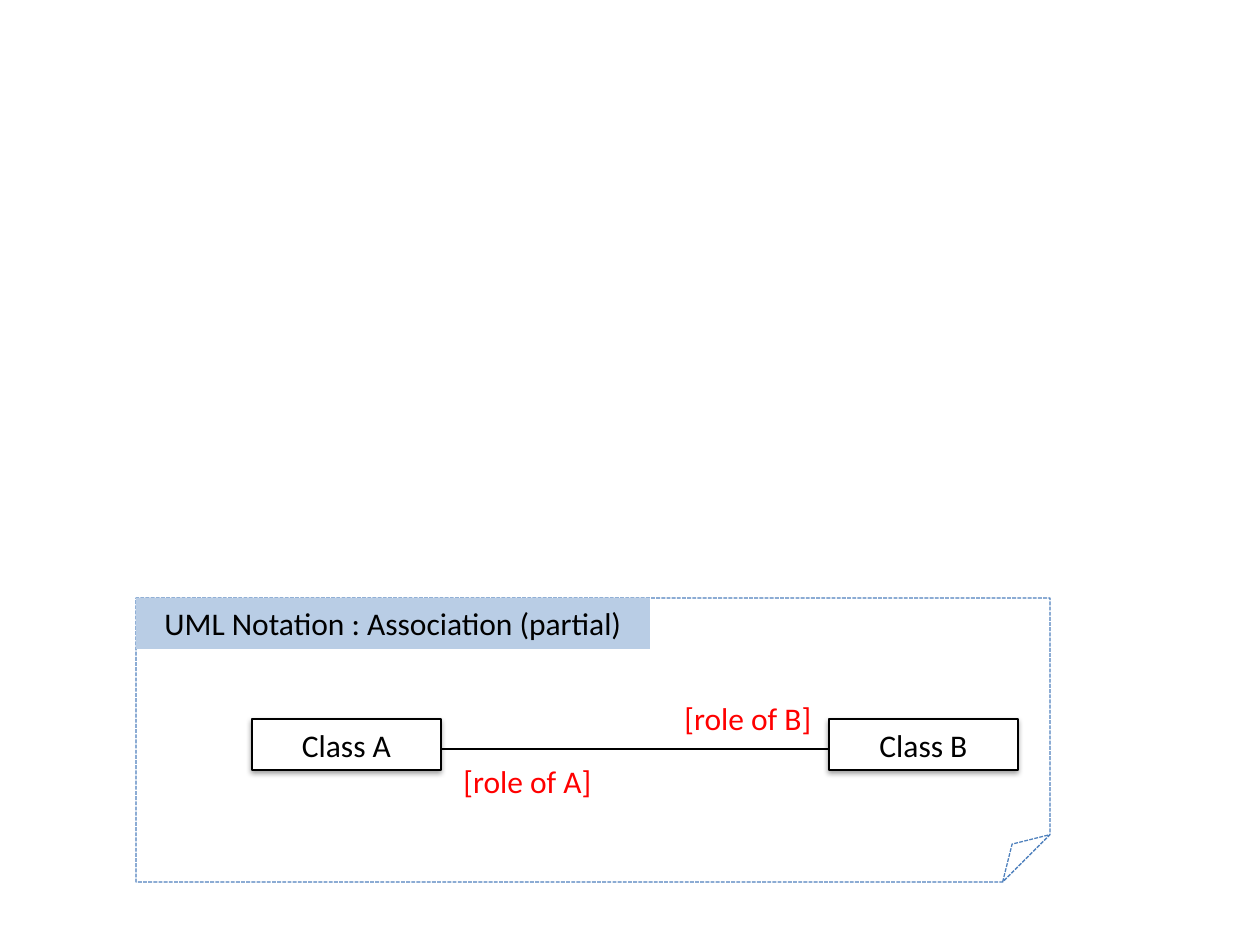
"""Build the UML association notation slide."""
from lxml import etree
from pptx import Presentation, util as u
from pptx.dml.color import RGBColor
from pptx.enum import dml, shapes, text
from pptx.oxml import ns

PX = 914400 / 126


def px(*lengths):
    return [u.Emu(round(n * PX)) for n in lengths]


def rgb(value):
    return RGBColor.from_string(value)


prs = Presentation()
prs.slide_width, prs.slide_height = px(1260, 945)
s = prs.slides.add_slide(prs.slide_layouts[6])

RECT, NOTE = shapes.MSO_SHAPE.RECTANGLE, shapes.MSO_SHAPE.FOLDED_CORNER
TOP, MIDDLE = text.MSO_ANCHOR.TOP, text.MSO_ANCHOR.MIDDLE
boxes = [
    ("Class A", RECT, (252, 719, 189, 51), "FFFFFF", "000000", MIDDLE),
    ("", NOTE, (136, 598, 914, 284), None, "4F81BD", MIDDLE),
    ("UML Notation : Association (partial)", RECT, (136, 598, 514, 51), "B9CDE5", None, TOP),
    ("Class B", RECT, (829, 719, 189, 51), "FFFFFF", "000000", MIDDLE),
]
for label, kind, at, fill, line, anchor in boxes:
    sp = s.shapes.add_shape(kind, *px(*at))
    sp.shadow.inherit = False
    for fmt, color in ((sp.fill, fill), (sp.line.fill, line)):
        if color:
            fmt.solid()
            fmt.fore_color.rgb = rgb(color)
        else:
            fmt.background()
    if line:
        sp.line.width = u.Pt(0.75)
    if kind == NOTE:
        sp.line.dash_style = dml.MSO_LINE.SQUARE_DOT
        continue
    if line:
        effects = sp.element.spPr.find(ns.qn("a:effectLst"))
        shadow = etree.SubElement(effects, ns.qn("a:outerShdw"), blurRad=str(u.Pt(3.1)),
                                  dist=str(u.Pt(1.6)), dir="5400000", rotWithShape="0")
        tint = etree.SubElement(shadow, ns.qn("a:srgbClr"), val="000000")
        etree.SubElement(tint, ns.qn("a:alpha"), val="38000")
    tf = sp.text_frame
    tf.vertical_anchor = anchor
    p = tf.paragraphs[0]
    p.alignment = text.PP_ALIGN.CENTER
    r = p.add_run()
    r.text = label
    for key, value in {"name": "Calibri", "size": u.Pt(18)}.items():
        setattr(r.font, key, value)
    r.font.color.rgb = rgb("000000")

link = s.shapes.add_connector(shapes.MSO_CONNECTOR.ELBOW, *px(441, 749, 829, 749))
link.line.width = u.Pt(0.75)
link.line.color.rgb = rgb("000000")
etree.SubElement(link.element.spPr, ns.qn("a:effectLst"))

for label, left, top in (("[role of B]", 672, 693), ("[role of A]", 451, 756)):
    tf = s.shapes.add_textbox(*px(left, top, 158, 51)).text_frame
    tf.word_wrap = True
    r = tf.paragraphs[0].add_run()
    r.text = label
    for key, value in {"name": "Calibri", "size": u.Pt(18)}.items():
        setattr(r.font, key, value)
    r.font.color.rgb = rgb("FF0000")

prs.save("out.pptx")
